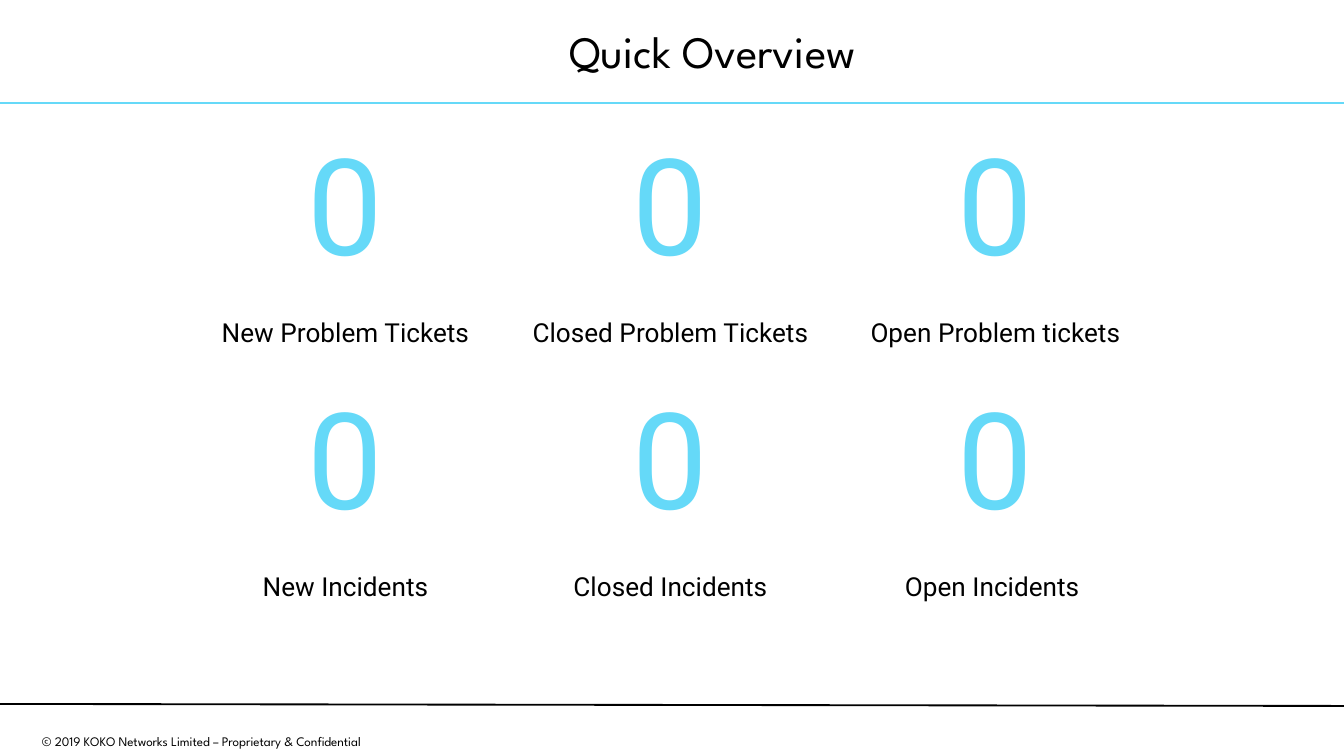
from lxml import etree
from pptx import Presentation
from pptx import util as u
from pptx.dml.color import RGBColor
from pptx.enum import shapes, text
from pptx.oxml.ns import qn

EMU_PER_PX = 914400 / 134.4
SKY, BLACK = "65D9F8", "000000"
HEADING_FONT, BODY_FONT = "League Spartan", "Roboto"


def px(length):
    return u.Emu(round(length * EMU_PER_PX))


def color(value):
    return RGBColor.from_string(value)


class SlideBuilder:
    def __init__(self, slide):
        self.slide = slide

    def add_centered_run(self, paragraph, words, font, size, ink):
        paragraph.alignment = text.PP_ALIGN.CENTER
        run = paragraph.add_run()
        run.text = words
        run.font.name = font
        run.font.size = u.Pt(size)
        run.font.color.rgb = color(ink)

    def line(self, start, end, ink, width):
        connector = self.slide.shapes.add_connector(
            shapes.MSO_CONNECTOR.STRAIGHT, *map(px, start + end))
        connector.line.color.rgb = color(ink)
        connector.line.width = u.Pt(width)
        properties = connector._element.spPr
        etree.SubElement(properties, qn("a:effectLst"))

    def text_box(self, box, words, size, anchor, spacing=1.0):
        frame = self.slide.shapes.add_textbox(*map(px, box)).text_frame
        frame.word_wrap = True
        frame.vertical_anchor = anchor
        frame.margin_left = frame.margin_right = px(9)
        frame.margin_top = frame.margin_bottom = px(5)
        paragraph = frame.paragraphs[0]
        paragraph.line_spacing = spacing
        self.add_centered_run(paragraph, words, HEADING_FONT, size, BLACK)

    def table(self, left, top, column_width, rows):
        """Each row is (height, size, ink, cell texts)."""
        columns = len(rows[0][3])
        height = sum(row[0] for row in rows)
        table = self.slide.shapes.add_table(
            len(rows), columns, px(left), px(top),
            px(column_width * columns), px(height)).table
        table.first_row = table.horz_banding = False
        for column in table.columns:
            column.width = px(column_width)
        for i, (row_height, size, ink, labels) in enumerate(rows):
            table.rows[i].height = px(row_height)
            for j, label in enumerate(labels):
                cell = table.cell(i, j)
                cell.fill.background()
                cell.margin_left = cell.margin_right = px(13)
                cell.margin_top = cell.margin_bottom = px(13)
                self.add_centered_run(cell.text_frame.paragraphs[0], label,
                                      BODY_FONT, size, ink)


def main():
    presentation = Presentation()
    presentation.slide_width, presentation.slide_height = px(1344), px(756)
    slide = presentation.slides.add_slide(presentation.slide_layouts[6])
    builder = SlideBuilder(slide)

    # Header rule and footer
    builder.line((0, 103), (1345, 103), SKY, 1.5)
    builder.text_box(
        (0, 728, 406, 28),
        "© 2019 KOKO Networks Limited – Proprietary & Confidential ",
        7, text.MSO_ANCHOR.TOP)
    builder.line((0, 704), (1344, 706), BLACK, 1)

    # Title
    builder.text_box((132, 11, 1161, 86), "Quick Overview", 24,
                     text.MSO_ANCHOR.MIDDLE, 0.9)

    # Ticket and incident counts
    counts = (171, 72, SKY, ["0"] * 3)
    builder.table(183, 118, 325, [
        counts,
        (67, 14, BLACK, ["New Problem Tickets", "Closed Problem Tickets",
                         "Open Problem tickets"]),
        counts,
        (52, 14, BLACK, ["New Incidents", "Closed Incidents",
                         "Open Incidents "]),
    ])

    presentation.save("out.pptx")


if __name__ == "__main__":
    main()
